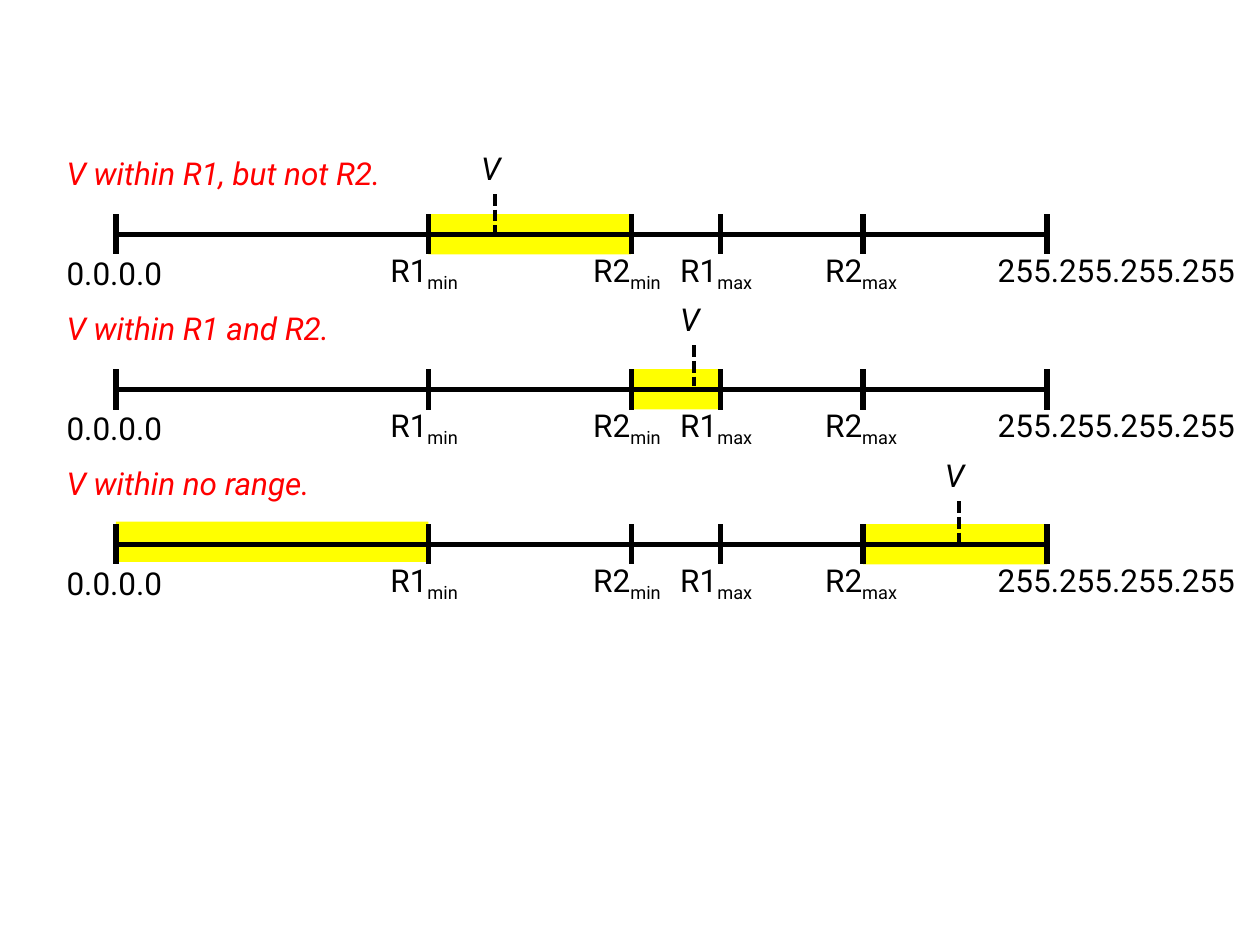
"""Builds a slide of three address scales showing where V falls among two ranges."""
from pptx import Presentation
from pptx import util as u
from pptx.dml.color import RGBColor
from pptx.enum import dml, shapes, text
from pptx.oxml.ns import qn

BLACK = RGBColor(0, 0, 0)
RED = RGBColor(0xFF, 0, 0)
YELLOW = RGBColor(0xFF, 0xFF, 0)
FONT = "Roboto"

# The slide is a fine grid of 1000 columns by 750 rows.
WIDTH, HEIGHT = u.Inches(10), u.Inches(7.5)
COLUMN, ROW = WIDTH // 1000, HEIGHT // 750

FIRST_AXIS, AXIS_STEP = 186, 123
TICK_HALF = 16
LABEL_HEIGHT = 40
CAPTION_LEFT = 43
AXIS_END = 830

# Tick: column, label, subscript, label left, label width, label drop below axis
TICKS = {
    "start": (92, "0.0.0.0", "", 43, 97, 11),
    "r1_min": (340, "R1", "min", 300, 80, 8),
    "r2_min": (501, "R2", "min", 461, 80, 8),
    "r1_max": (572, "R1", "max", 530, 85, 8),
    "r2_max": (685, "R2", "max", 645, 85, 8),
    "end": (831, "255.255.255.255", "", 782, 210, 8),
}

# Case: caption, caption width, V column, V marker rise, highlights (from, to, lift)
CASES = [
    ("V within R1, but not R2.", 289, 393, 32, [("r1_min", "r2_min", 0)]),
    ("V within R1 and R2.", 247, 551, 35, [("r2_min", "r1_max", 0)]),
    ("V within no range.", 226, 761, 34,
     [("start", "r1_min", 2), ("r2_max", "end", 0)]),
]


def set_values(target, values):
    """Set each named format value on the target."""
    for key, value in values.items():
        setattr(target, key, value)


def add_line(slide, start, end, weight=3, dash=None):
    """Draw a black straight line between two grid points."""
    line = slide.shapes.add_connector(
        shapes.MSO_CONNECTOR.STRAIGHT,
        start[0] * COLUMN, start[1] * ROW, end[0] * COLUMN, end[1] * ROW)
    line.line.color.rgb = BLACK
    set_values(line.line, {"width": u.Pt(weight), "dash_style": dash})
    properties = line._element.spPr
    properties.append(properties.makeelement(qn("a:effectLst"), {}))


def add_label(slide, left, top, width, words, subscript="", color=BLACK, italic=False):
    """Write one unwrapped line of text, with an optional subscript."""
    box = slide.shapes.add_textbox(
        left * COLUMN, top * ROW, width * COLUMN, LABEL_HEIGHT * ROW)
    set_values(box.text_frame, {
        "word_wrap": False, "auto_size": text.MSO_AUTO_SIZE.SHAPE_TO_FIT_TEXT})
    paragraph = box.text_frame.paragraphs[0]
    for part in filter(None, (words, subscript)):
        run = paragraph.add_run()
        run.text = part
        set_values(run.font, {"name": FONT, "size": u.Pt(18), "italic": italic})
        run.font.color.rgb = color
    if subscript:
        run.font._element.set("baseline", "-25000")


def add_highlight(slide, axis, first, last, lift):
    """Shade the stretch of the scale between two ticks."""
    left, right = TICKS[first][0], TICKS[last][0]
    band = slide.shapes.add_shape(
        shapes.MSO_SHAPE.RECTANGLE, left * COLUMN, (axis - TICK_HALF - lift) * ROW,
        (right - left) * COLUMN, 2 * TICK_HALF * ROW)
    band.shadow.inherit = False
    band.fill.solid()
    band.fill.fore_color.rgb = YELLOW
    band.line.fill.background()


def add_scale(slide, axis):
    """Draw the address axis with its ticks and their labels."""
    add_line(slide, (TICKS["start"][0], axis), (AXIS_END, axis))
    for column, words, subscript, left, width, drop in TICKS.values():
        add_line(slide, (column, axis - TICK_HALF), (column, axis + TICK_HALF))
        add_label(slide, left, axis + drop, width, words, subscript)


def add_value_marker(slide, axis, column, rise):
    """Mark the place of V with a dashed line and its letter."""
    top = axis - rise
    add_line(slide, (column, top), (column, top + 32), 2.25,
             dml.MSO_LINE.SQUARE_DOT)
    add_label(slide, column - 21, top - 41, 42, "V", italic=True)


def main():
    """Build and save the slide."""
    deck = Presentation()
    set_values(deck, {"slide_width": WIDTH, "slide_height": HEIGHT})
    slide = deck.slides.add_slide(deck.slide_layouts[6])
    for index, (caption, width, value, rise, highlights) in enumerate(CASES):
        axis = FIRST_AXIS + index * AXIS_STEP
        for first, last, lift in highlights:
            add_highlight(slide, axis, first, last, lift)
        add_scale(slide, axis)
        add_value_marker(slide, axis, value, rise)
        add_label(slide, CAPTION_LEFT, axis - 69, width, caption,
                  color=RED, italic=True)
    deck.save("out.pptx")


main()
